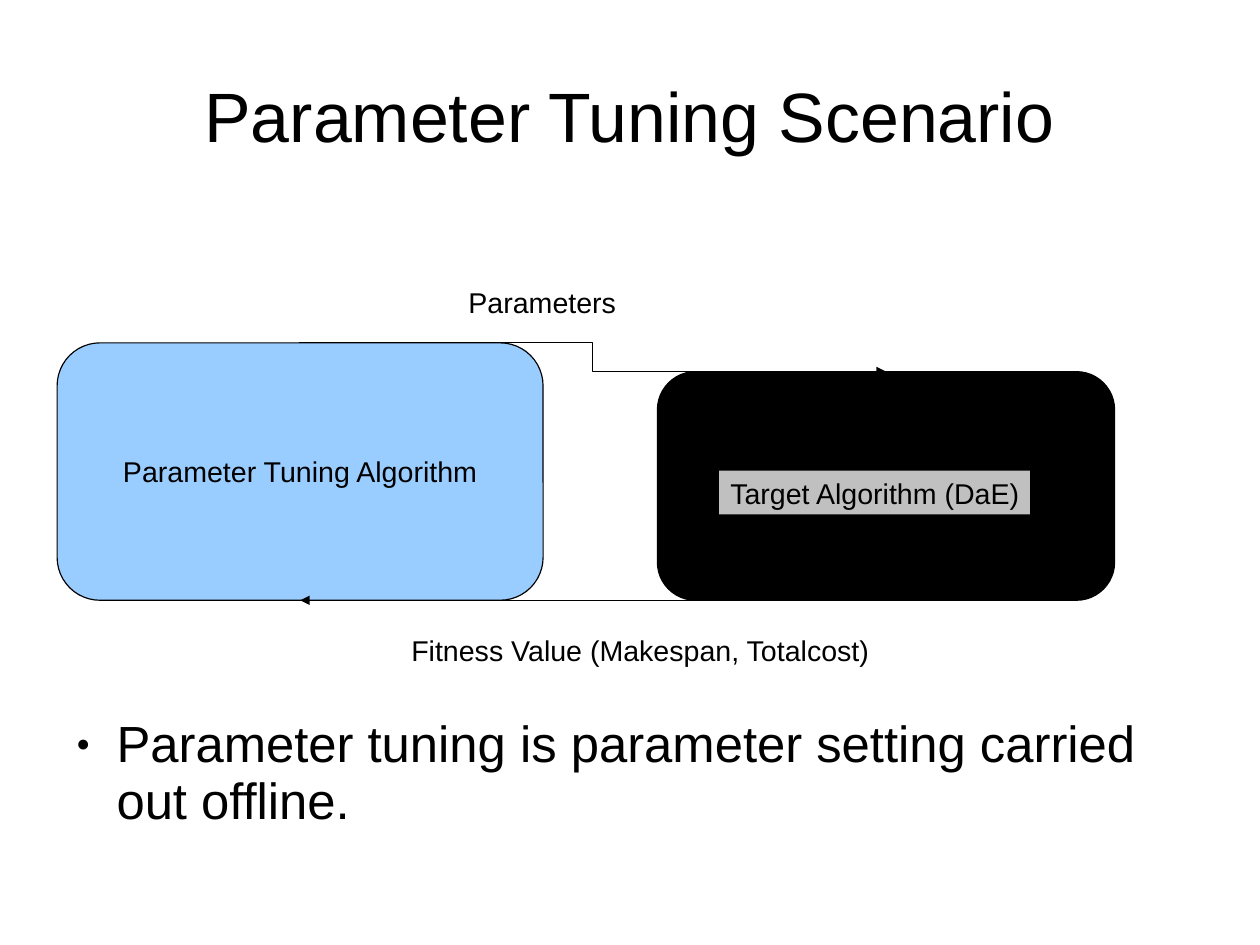
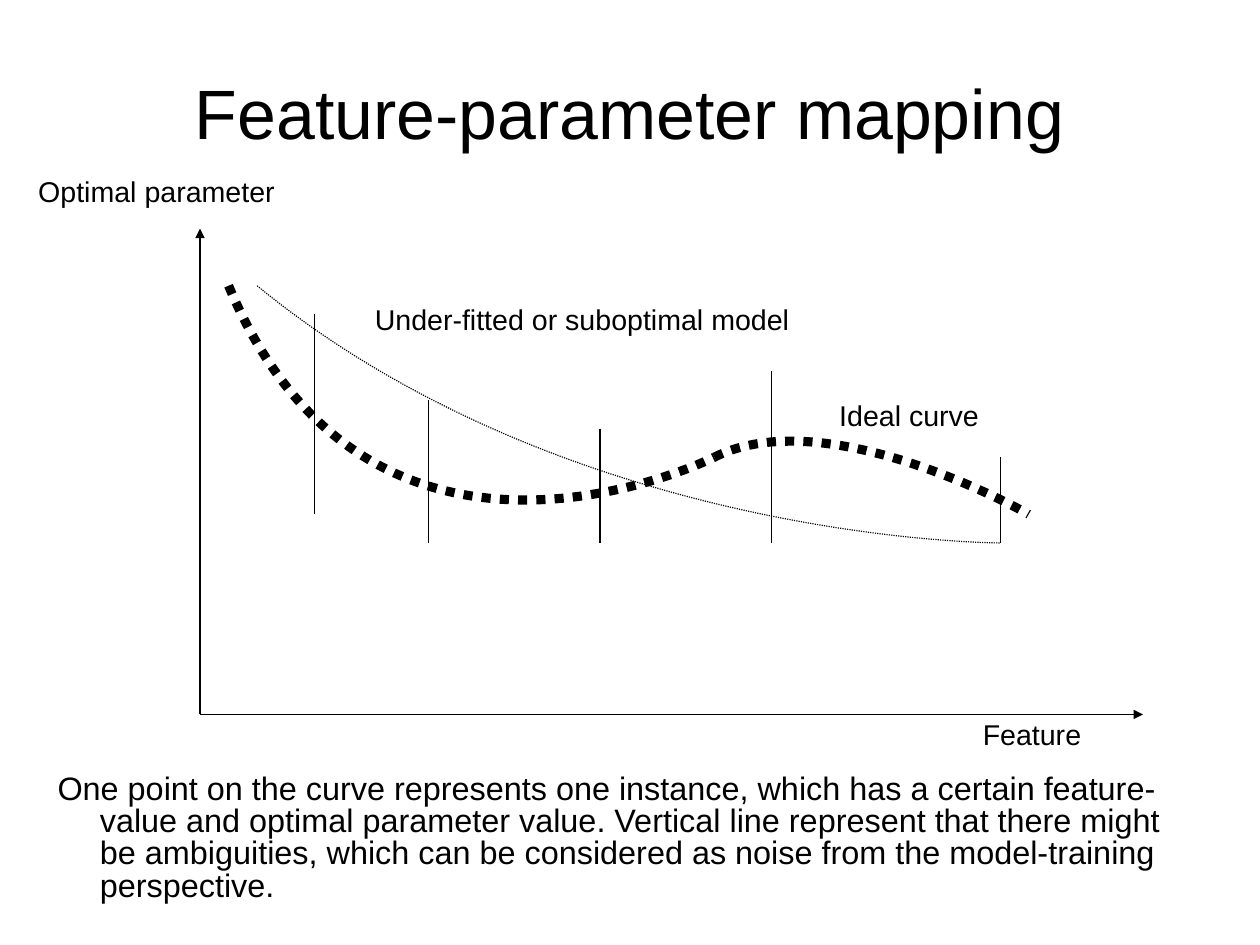
from lxml.etree import SubElement
from pptx import Presentation
from pptx.dml.color import RGBColor
from pptx.enum.dml import MSO_LINE
from pptx.enum.shapes import MSO_CONNECTOR, MSO_SHAPE
from pptx.enum.text import MSO_ANCHOR, PP_ALIGN
from pptx.oxml.ns import qn
from pptx.util import Cm, Pt

COLORS = {"ink": "000000", "blue": "99CCFF", "gray": "C0C0C0"}
RGB = {name: RGBColor.from_string(code) for name, code in COLORS.items()}
FONT = "Arial"
GRID = 2.54  # the drawings sit on a grid of one inch
THIN, THICK = Pt(0.75), Pt(5.75)


def write(frame, text, size=18, pad=(0.25, 0.13, 0.25, 0.13), wrap=False,
          align=PP_ALIGN.LEFT, anchor=MSO_ANCHOR.TOP, space=0.93):
    """Fill a text frame with one paragraph; pad is left, top, right, bottom in cm."""
    frame.text = text
    frame.word_wrap = wrap
    frame.vertical_anchor = anchor
    (frame.margin_left, frame.margin_top,
     frame.margin_right, frame.margin_bottom) = [Cm(side) for side in pad]
    para = frame.paragraphs[0]
    para.alignment = align
    para.line_spacing = space
    font = para.runs[0].font
    font.name, font.size, font.color.rgb = FONT, Pt(size), RGB["ink"]
    return para


def link(slide, start, end, kind=MSO_CONNECTOR.STRAIGHT, arrow=False):
    """Draw a thin connector between two grid points."""
    line = slide.shapes.add_connector(
        kind, *[Cm(GRID * value) for value in (*start, *end)])
    line.line.color.rgb = RGB["ink"]
    line.line.width = THIN
    props = line._element.spPr
    SubElement(props, qn("a:effectLst"))
    if arrow:
        SubElement(line.line._get_or_add_ln(), qn("a:tailEnd"), type="triangle")
    return line


deck = Presentation()
deck.slide_width, deck.slide_height = Cm(28), Cm(21)

# Shared by both slides: title, labels (text, left, top, width, height), body text
pages = [
    ("Parameter Tuning Scenario", 0.1, 0.18, [
        ("Parameters", 10.16, 6.22, 4.2, 0.97),
        ("Fitness Value (Makespan, Totalcost)", 8.89, 13.95, 11.2, 1.27),
    ], ("Parameter tuning is parameter setting carried out offline.",
        1.4, 15.86, 2.9, 32, 0.93, 1.19, -0.89)),
    ("Feature-parameter mapping", 0, 0.13, [
        ("Optimal parameter", 0.6, 3.81, 6.2, 0.97),
        ("Feature", 21.59, 15.88, 3.1, 2.24),
        ("Ideal curve", 18.4, 8.79, 4, 0.97),
        ("Under-fitted or suboptimal model", 8.08, 6.65, 10.2, 0.97),
    ], ("One point on the curve represents one instance, which has a certain "
        "feature-value and optimal parameter value. Vertical line represent that "
        "there might be ambiguities, which can be considered as noise from the "
        "model-training perspective.",
        1.25, 17.13, 3.18, 20.4, 0.83, 0.97, -0.94)),
]
slides, paras = [], []
for head, rise, top, labels, body in pages:
    slide = deck.slides.add_slide(deck.slide_layouts[5])
    title = slide.shapes.title
    title.left, title.top, title.width, title.height = Cm(1.4), Cm(0.84), Cm(25.2), Cm(3.5)
    write(title.text_frame, head, 44, (0, rise, 0, 0), True,
          PP_ALIGN.CENTER, MSO_ANCHOR.MIDDLE)
    for text, *place in labels:
        box = slide.shapes.add_textbox(*[Cm(value) for value in place])
        write(box.text_frame, text, pad=(0.25, top, 0.25, 0.13))
    text, x, y, high, size, space, left, hang = body
    box = slide.shapes.add_textbox(Cm(x), Cm(y), Cm(25.2), Cm(high))
    para = write(box.text_frame, text, size, (0, 0.08, 0, 0), True, space=space)
    para.space_after = Pt(14.3)
    props = para._p.get_or_add_pPr()
    props.set("marL", str(Cm(left)))
    props.set("indent", str(Cm(hang)))
    slides.append(slide)
    paras.append(para)
flow, plot = slides

# Slide 1: bullet, boxes and the loop between them
props = paras[0]._p.get_or_add_pPr()
SubElement(props, qn("a:buSzPct"), val="45000")
SubElement(props, qn("a:buFont"), typeface=FONT)
SubElement(props, qn("a:buChar"), char="●")

ROUND, RECT = MSO_SHAPE.ROUNDED_RECTANGLE, MSO_SHAPE.RECTANGLE
boxes = []
for kind, fill, text, align, *place in [
    (ROUND, "blue", "Parameter Tuning Algorithm", PP_ALIGN.CENTER, 1.27, 7.62, 10.8, 5.72),
    (ROUND, "ink", "", PP_ALIGN.CENTER, 14.61, 8.26, 10.16, 5.08),
    (RECT, "gray", "Target Algorithm (DaE)", PP_ALIGN.LEFT, 15.98, 10.46, 6.91, 0.97),
]:
    box = flow.shapes.add_shape(kind, *[Cm(value) for value in place])
    box.shadow.inherit = False
    box.fill.solid()
    box.fill.fore_color.rgb = RGB[fill]
    if kind == ROUND:
        box.line.color.rgb = RGB["ink"]
        box.line.width = THIN
    else:
        box.line.fill.background()
    if text:
        anchor = MSO_ANCHOR.MIDDLE if kind == ROUND else MSO_ANCHOR.TOP
        write(box.text_frame, text, pad=(0.25, 0.18, 0.25, 0.13),
              align=align, anchor=anchor)
    boxes.append(box)
tuner, target, tag = boxes

link(flow, (2.62, 3), (7.75, 3.25), MSO_CONNECTOR.ELBOW, True)
back = link(flow, (7.75, 5.25), (2.62, 5.25), arrow=True)
back.begin_connect(target, 2)
back.end_connect(tuner, 2)

# Slide 2: axes, curves and the vertical noise lines
for tip in [(10, 6.25), (1.75, 2)]:
    link(plot, (1.75, 6.25), tip, arrow=True)

for width, *knots in [
    (THICK, (2, 2.5), (3.25, 5.5), (6.25, 4), (6.25, 4)),
    (THICK, (6.25, 4), (7.25, 3.5), (9, 4.5), (9, 4.5)),
    (THIN, (2.25, 2.5), (5, 4.75), (8.75, 4.75), (8.75, 4.75)),
]:
    dots = [(Cm(GRID * x), Cm(GRID * y)) for x, y in knots]
    pen = plot.shapes.build_freeform(*dots[0])
    pen.add_line_segments(dots[1:], close=False)
    curve = pen.convert_to_shape()
    # The three segments become the control points of one Bézier curve
    legs = list(curve._element.iter(qn("a:lnTo")))
    bend = SubElement(legs[0].getparent(), qn("a:cubicBezTo"))
    for leg in legs:
        bend.append(leg[0])
        leg.getparent().remove(leg)
    curve.shadow.inherit = False
    curve.fill.background()
    curve.line.color.rgb = RGB["ink"]
    curve.line.width = width
    curve.line.dash_style = MSO_LINE.ROUND_DOT
    curve.line._get_or_add_ln().find(qn("a:prstDash")).set("val", "sysDot")

for x, top, end in [(2.75, 2.75, 4.5), (3.75, 3.5, 4.75), (5.25, 3.75, 4.75),
                    (6.75, 3.25, 4.75), (8.75, 4, 4.75)]:
    link(plot, (x, top), (x, end))

deck.save("out.pptx")
